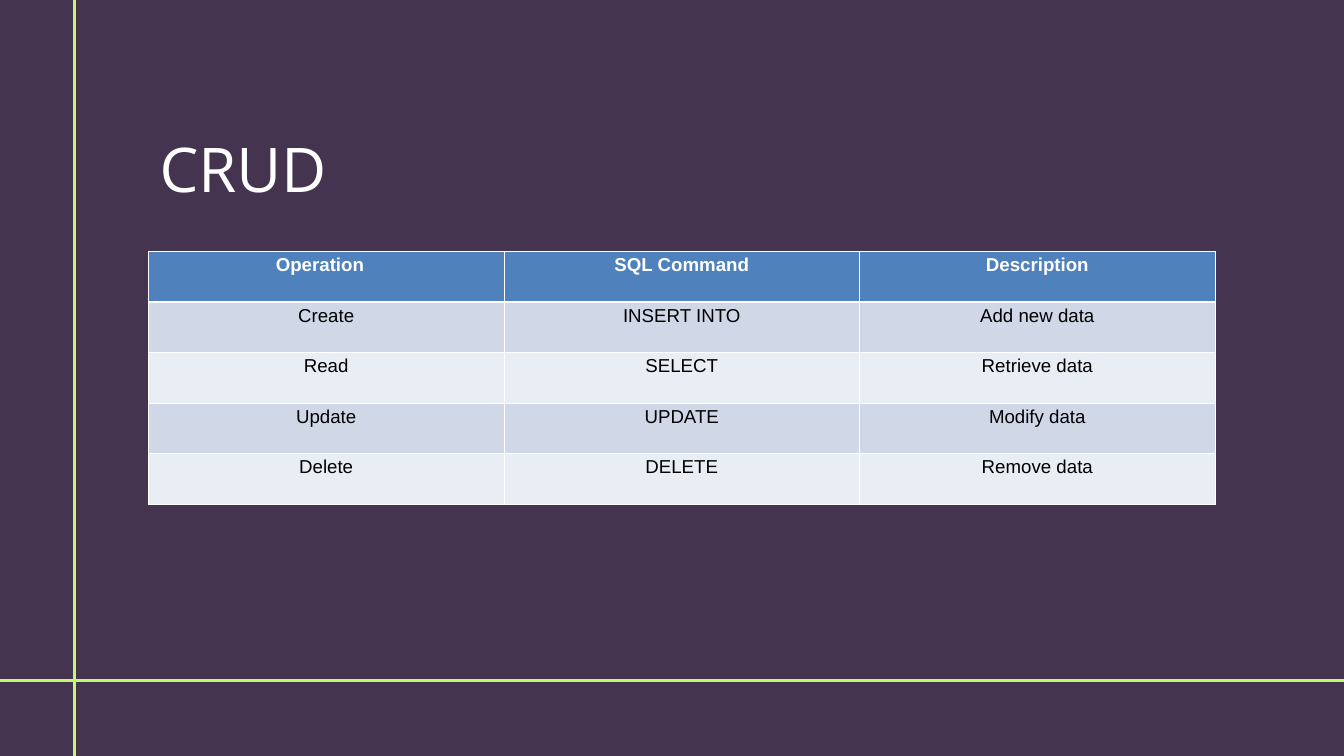
from lxml import etree
from pptx import Presentation
from pptx.dml.color import RGBColor
from pptx.enum.shapes import MSO_CONNECTOR
from pptx.enum.text import MSO_AUTO_SIZE, PP_ALIGN
from pptx.oxml.ns import qn
from pptx.util import Emu, Pt

STRAIGHT = MSO_CONNECTOR.STRAIGHT
CENTER = PP_ALIGN.CENTER
FIT_SHAPE = MSO_AUTO_SIZE.SHAPE_TO_FIT_TEXT

EMU_PER_PX = 9525
WIDTH, HEIGHT = 1920, 1080

BACKGROUND = "44344F"
LIME = "C2F970"
WHITE = "FFFFFF"
HEADER_FILL = "4F81BD"
BAND_FILLS = ("D0D8E8", "E9EDF4")

TITLE_FONT = {"name": "Open Sans", "size": Pt(66), "color": WHITE}
HEADER_FONT = {"name": "Arial", "size": Pt(20), "bold": True, "color": WHITE}
BODY_FONT = {"name": "Arial", "size": Pt(20), "bold": False, "color": "000000"}

ROWS = [
    ("Operation\t", "SQL Command", "Description"),
    ("Create", "INSERT INTO", "Add new data"),
    ("Read", "SELECT", "Retrieve data"),
    ("Update", "UPDATE", "Modify data"),
    ("Delete", "DELETE", "Remove data"),
]


def px(*values):
    return [Emu(v * EMU_PER_PX) for v in values]


def paint(color_format, hex_color):
    color_format.rgb = RGBColor.from_string(hex_color)


def paint_fill(fill, hex_color):
    fill.solid()
    paint(fill.fore_color, hex_color)


def add_run(p, text, fmt):
    r = p.add_run()
    r.text = text
    for key, value in fmt.items():
        if key == "color":
            paint(r.font.color, value)
        else:
            setattr(r.font, key, value)


def add_rule(s, x1, y1, x2, y2):
    line = s.shapes.add_connector(STRAIGHT, *px(x1, y1, x2, y2))
    line.line.width = Pt(3)
    paint(line.line.color, LIME)
    etree.SubElement(line._element.spPr, qn("a:effectLst"))


def add_frame(s, x, y):
    """Vertical and horizontal rules that cross at x, y."""
    add_rule(s, x, HEIGHT, x, 0)
    add_rule(s, WIDTH, y, 0, y)


def add_title(s, text, left, top, width, height):
    tf = s.shapes.add_textbox(*px(left, top, width, height)).text_frame
    for side in ("left", "top", "right", "bottom"):
        setattr(tf, f"margin_{side}", 0)
    tf.word_wrap = True
    tf.auto_size = FIT_SHAPE
    add_run(tf.paragraphs[0], text, TITLE_FONT)


def add_borders(cell, widths):
    """Borders come before the fill in the cell properties."""
    tc_pr = cell._tc.get_or_add_tcPr()
    for i, (side, width) in enumerate(widths.items()):
        ln = etree.Element(qn(f"a:ln{side}"), w=str(Pt(width)))
        fill = etree.SubElement(ln, qn("a:solidFill"))
        etree.SubElement(fill, qn("a:srgbClr"), val=WHITE)
        tc_pr.insert(i, ln)


def add_crud_table(s, rows, left, top, width, height):
    n_rows, n_cols = len(rows), len(rows[0])
    table = s.shapes.add_table(n_rows, n_cols, *px(left, top, width, height)).table
    for i, row in enumerate(rows):
        header = i == 0
        fill = HEADER_FILL if header else BAND_FILLS[(i - 1) % 2]
        widths = {"L": 1, "R": 1, "T": 3 if i == 1 else 1, "B": 3 if header else 1}
        for j, text in enumerate(row):
            cell = table.cell(i, j)
            paint_fill(cell.fill, fill)
            add_borders(cell, widths)
            p = cell.text_frame.paragraphs[0]
            p.alignment = CENTER
            add_run(p, text, HEADER_FONT if header else BODY_FONT)


def main():
    prs = Presentation()
    prs.slide_width, prs.slide_height = px(WIDTH, HEIGHT)
    s = prs.slides.add_slide(prs.slide_layouts[6])
    paint_fill(s.background.fill, BACKGROUND)

    add_frame(s, 106, 972)
    add_title(s, "CRUD", 228, 187, 770, 107)
    add_crud_table(s, ROWS, 212, 359, 1524, 361)

    prs.save("out.pptx")


if __name__ == "__main__":
    main()
